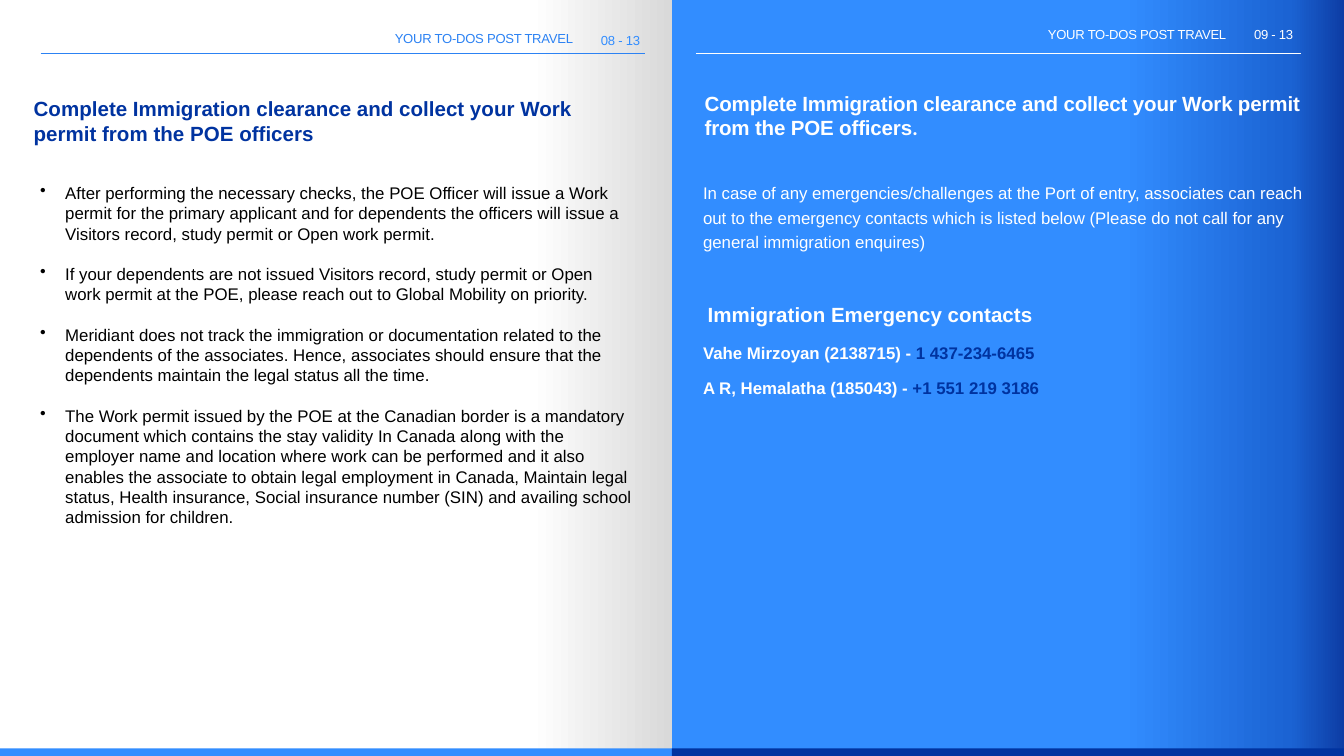
from lxml.etree import SubElement
from pptx import Presentation
from pptx.dml.color import RGBColor
from pptx.enum.shapes import MSO_CONNECTOR as Connector, MSO_SHAPE as Shape
from pptx.enum.text import MSO_ANCHOR as Anchor, MSO_AUTO_SIZE as AutoSize, PP_ALIGN as Align
from pptx.oxml.ns import qn
from pptx.util import Pt

COLORS = {
    "white": "FFFFFF", "black": "000000", "grey": "D9D9D9", "sky": "328DFF",
    "azure": "2C82F3", "royal": "1B63D3", "navy": "0033A0", "edge": "0D3DA5",
}
HEADING = "Complete Immigration clearance and collect your Work permit from the POE officers"
STEPS = [
    "After performing the necessary checks, the POE Officer will issue a Work permit for the primary applicant and for dependents the officers will issue a Visitors record, study permit or Open work permit.",
    "If your dependents are not issued Visitors record, study permit or Open work permit at the POE, please reach out to Global Mobility on priority.",
    "Meridiant does not track the immigration or documentation related to the dependents of the associates. Hence, associates should ensure that the dependents maintain the legal status all the time.",
    "The Work permit issued by the POE at the Canadian border is a mandatory document which contains the stay validity In Canada along with the employer name and location where work can be performed and it also enables the associate to obtain legal employment in Canada, Maintain legal status, Health insurance, Social insurance number (SIN) and availing school admission for children.",
]
EMERGENCY = "In case of any emergencies/challenges at the Port of entry, associates can reach out to the emergency contacts which is listed below (Please do not call for any general immigration enquires)"
CONTACTS = [
    ("Vahe Mirzoyan (2138715) - ", "1 437-234-6465"),
    ("A R, Hemalatha (185043) - ", "+1 551 219 3186"),
]


def rgb(name):
    return RGBColor.from_string(COLORS[name])


class Spread:
    font = "Arial"

    def __init__(self, page):
        self.page = page

    def panel(self, left, top, width, height, color):
        box = self.page.shapes.add_shape(
            Shape.RECTANGLE, Pt(left), Pt(top), Pt(width), Pt(height))
        box.shadow.inherit = False
        box.line.fill.background()
        box.fill.solid()
        box.fill.fore_color.rgb = rgb(color)
        return box

    def gradient_panel(self, left, top, width, height, stops):
        box = self.panel(left, top, width, height, stops[0][1])
        box.fill.gradient()
        box.fill.gradient_angle = 0
        stop_list = next(box.element.iter(qn("a:gsLst")))
        for stop in list(stop_list):
            stop_list.remove(stop)
        for position, color in stops:
            stop = SubElement(stop_list, qn("a:gs"), pos=str(position * 1000))
            SubElement(stop, qn("a:srgbClr"), val=COLORS[color])

    def rule(self, left, top, width, color):
        line = self.page.shapes.add_connector(
            Connector.STRAIGHT, Pt(left), Pt(top), Pt(left + width), Pt(top))
        line.line.color.rgb = rgb(color)
        line.line.width = Pt(0.5)
        SubElement(line.element.spPr, qn("a:effectLst"))

    def text_box(self, left, top, width, height, inset_top=0.72, inset=0):
        box = self.page.shapes.add_textbox(Pt(left), Pt(top), Pt(width), Pt(height))
        self.frame(box, inset_top, inset)
        return box

    def frame(self, box, inset_top, inset):
        frame = box.text_frame
        frame.word_wrap = True
        frame.auto_size = AutoSize.NONE
        frame.vertical_anchor = Anchor.TOP
        frame.margin_left = frame.margin_right = Pt(inset)
        frame.margin_top = Pt(inset_top)
        frame.margin_bottom = 0

    def heading(self, left, top, width, height, color, line):
        title = self.page.shapes.title
        title.left, title.top, title.width, title.height = map(Pt, (left, top, width, height))
        title.element.getparent().append(title.element)
        self.frame(title, 3.6, 7.2)
        self.add_text(title, HEADING, 11, color, bold=True, line=line)

    def add_text(self, box, text, size, color, bold=False, line=None, before=0,
                 after=0, align=Align.LEFT, tracking=0, new=False):
        frame = box.text_frame
        para = frame.add_paragraph() if new else frame.paragraphs[0]
        para.add_run().text = text
        para.alignment = align
        para.space_before, para.space_after = Pt(before), Pt(after)
        if line:
            para.line_spacing = Pt(line)
        para.font.name = self.font
        para.font.size = Pt(size)
        para.font.bold = bold
        para.font.color.rgb = rgb(color)
        if tracking:
            next(box.element.iter(qn("a:defRPr"))).set("spc", str(tracking))
        return para

    def span(self, para, text, color=None, font=None):
        span = para.add_run()
        span.text = text
        if color:
            span.font.color.rgb = rgb(color)
        if font:
            span.font.name = font

    def bullets(self, box, items, size, color, line):
        for number, item in enumerate(items):
            self.add_text(box, item, size, color, line=line, new=number > 0,
                          before=line if number else 0)
        for props in box.element.iter(qn("a:pPr")):
            props.set("marL", str(Pt(13.5)))
            props.set("indent", str(-Pt(13.5)))
            bullet = SubElement(props, qn("a:buChar"), char="•")
            props.find(qn("a:defRPr")).addprevious(bullet)

    def page_header(self, left, top, number, number_top, color, rule_left, label_color):
        label = self.text_box(left, top, 106.8, 9.5)
        self.add_text(label, "YOUR TO-DOS POST TRAVEL", 7, label_color,
                      align=Align.RIGHT, before=0.9, tracking=-10)
        folio = self.text_box(left + 121.7, number_top, 26, 9.5)
        self.add_text(folio, number, 7, color, before=0.9, tracking=-10)
        self.rule(rule_left, 28.6, 324, label_color)


def main():
    deck = Presentation()
    deck.slide_width, deck.slide_height = Pt(720), Pt(405)
    spread = Spread(deck.slides.add_slide(deck.slide_layouts[5]))

    spread.gradient_panel(360, 0, 360, 405, [(0, "sky"), (67, "sky"), (92, "royal"), (100, "edge")])
    spread.gradient_panel(0, 0, 360, 405, [(0, "white"), (79, "white"), (100, "grey")])
    for left, color in ((0, "sky"), (360, "navy")):
        spread.panel(left, 401, 360, 4, color)

    spread.page_header(200.2, 15.8, "08 - 13", 16.5, "sky", 21.8, "azure")
    spread.page_header(550.1, 13.7, "09 - 13", 13.7, "white", 373, "white")

    spread.heading(10.8, 47.5, 338.4, 33.8, "navy", 13.4)
    steps = spread.text_box(14.4, 94.3, 331.2, 193, 3.6, 7.2)
    spread.bullets(steps, STEPS, 9, "black", 10.85)

    heading = spread.text_box(377.5, 44.6, 322, 31, 4.3)
    para = spread.add_text(heading, HEADING, 11, "white", bold=True, line=12.9, tracking=-10)
    spread.span(para, ".", font="Calibri")

    contacts = spread.text_box(376.6, 95, 322.6, 119)
    spread.add_text(contacts, EMERGENCY, 9, "white", line=13.1, after=25.1)
    spread.add_text(contacts, "Immigration Emergency contacts", 11, "white",
                    bold=True, line=15.1, after=6, new=True)
    list(contacts.element.iter(qn("a:pPr")))[-1].set("marL", str(Pt(2.5)))
    for name, phone in CONTACTS:
        para = spread.add_text(contacts, name, 9, "white", bold=True, line=13.1, after=6, new=True)
        spread.span(para, phone, "navy")

    deck.save("out.pptx")


if __name__ == "__main__":
    main()
